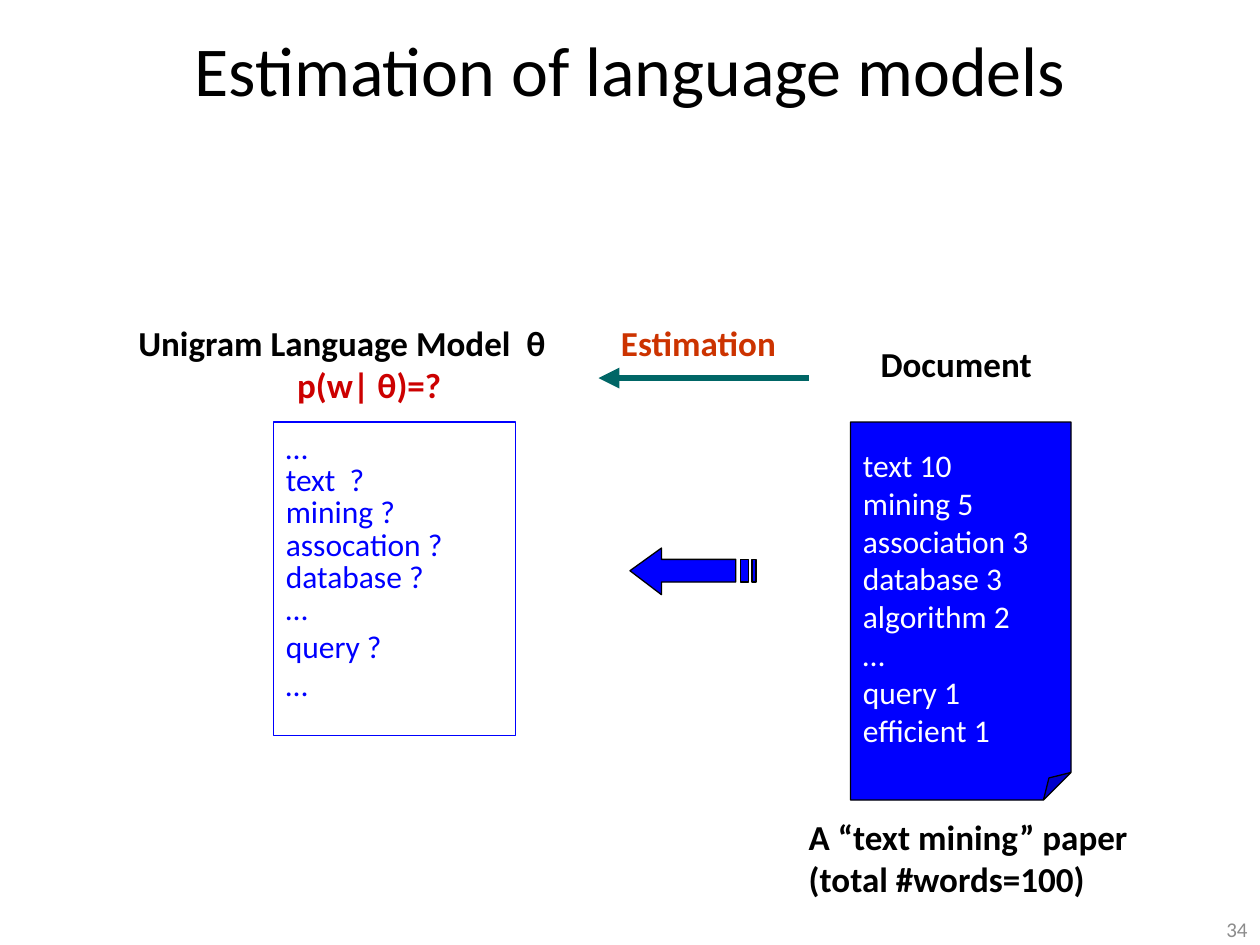
import pptx
import pptx.dml.color
import pptx.enum.shapes
import pptx.enum.text
import pptx.oxml.ns
import pptx.util
from dataclasses import dataclass
from lxml import etree
from pptx.util import Inches


@dataclass(frozen=True)
class Theme:
    font: str = "Calibri"
    black: str = "000000"
    white: str = "FFFFFF"
    gray: str = "8C8C8C"
    blue: str = "0000FF"
    red: str = "CC0000"
    orange: str = "CC3300"
    teal: str = "006666"
    title_size: int = 40
    label_size: int = 20
    word_size: int = 18
    number_size: int = 12
    outline: float = 0.75
    arrow: float = 4


theme = Theme()
rgb = pptx.dml.color.RGBColor.from_string
qn = pptx.oxml.ns.qn
align = pptx.enum.text.PP_ALIGN
anchor = pptx.enum.text.MSO_ANCHOR
shapes = pptx.enum.shapes.MSO_SHAPE


def write(frame, lines, size, color, bold=False, alignment=align.LEFT, anchoring=anchor.TOP):
    frame.text = "\n".join(lines)
    frame.word_wrap = True
    frame.vertical_anchor = anchoring
    for paragraph in frame.paragraphs:
        paragraph.alignment = alignment
        for run in paragraph.runs:
            run.font.name = theme.font
            run.font.size = pptx.util.Pt(size)
            run.font.bold = bold
            run.font.color.rgb = rgb(color)


def paint(shape, fill, line):
    shape.shadow.inherit = False
    if fill:
        shape.fill.solid()
        shape.fill.fore_color.rgb = rgb(fill)
    else:
        shape.fill.background()
    shape.line.color.rgb = rgb(line)
    shape.line.width = pptx.util.Pt(theme.outline)


deck = pptx.Presentation()
deck.slide_width, deck.slide_height = Inches(10), Inches(7.5)
slide = deck.slides.add_slide(deck.slide_layouts[5])

title = slide.shapes.title
title.left, title.top, title.width, title.height = Inches(0), Inches(0), Inches(10), Inches(1.08)
write(title.text_frame, ["Estimation of language models"], theme.title_size, theme.black,
      alignment=align.CENTER, anchoring=anchor.MIDDLE)

page_number = slide.shapes.add_textbox(Inches(7.67), Inches(7.25), Inches(2.33), Inches(0.25))
write(page_number.text_frame, ["34"], theme.number_size, theme.gray,
      alignment=align.RIGHT, anchoring=anchor.MIDDLE)

labels = [
    (6.89, 2.67, 1.49, 0.43, ["Document"], theme.black),
    (1, 2.5, 3.54, 0.77, ["Unigram Language Model  θ", "p(w| θ)=?"], theme.black),
    (4.83, 2.5, 1.49, 0.43, ["Estimation"], theme.orange),
    (6.32, 6.42, 2.85, 0.77, ["A “text mining” paper", "(total #words=100)"], theme.black),
]
for left, top, width, height, lines, color in labels:
    label = slide.shapes.add_textbox(Inches(left), Inches(top), Inches(width), Inches(height))
    write(label.text_frame, lines, theme.label_size, color, bold=True)
    if lines[-1].startswith("p(w"):
        probability = label.text_frame.paragraphs[-1]
        probability.runs[0].font.color.rgb = rgb(theme.red)
        properties = probability._p.get_or_add_pPr()
        properties.set("marL", str(Inches(1.26)))
        properties.set("indent", "0")

document = slide.shapes.add_shape(
    shapes.FOLDED_CORNER, Inches(6.75), Inches(3.35), Inches(1.75), Inches(3))
fold = document._element.spPr.find(qn("a:prstGeom")).find(qn("a:avLst"))
etree.SubElement(fold, qn("a:gd"), name="adj", fmla="val 12500")
paint(document, theme.blue, theme.black)
write(document.text_frame,
      ["text 10", "mining 5", "association 3", "database 3", "algorithm 2", "…", "query 1", "efficient 1"],
      theme.word_size, theme.white, anchoring=anchor.MIDDLE)

model = slide.shapes.add_shape(
    shapes.RECTANGLE, Inches(2.17), Inches(3.35), Inches(1.92), Inches(2.49))
paint(model, None, theme.blue)
write(model.text_frame,
      ["…", "text  ?", "mining ?", "assocation ?", "database ?", "…", "query ?", "…"],
      theme.word_size, theme.blue)
for paragraph in model.text_frame.paragraphs[1:6]:
    paragraph.line_spacing = 0.85

arrow_head = [(5.25, 4.35), (5.25, 4.44), (5.84, 4.44), (5.84, 4.62), (5.25, 4.62), (5.25, 4.72), (5, 4.53)]
stripes = [[(right, 4.44), (right, 4.62), (left, 4.62), (left, 4.44)]
           for left, right in [(5.88, 5.94), (5.97, 6)]]
outline = slide.shapes.build_freeform(Inches(5.25), Inches(4.35))
for contour in [arrow_head, *stripes]:
    points = [(Inches(x), Inches(y)) for x, y in contour]
    if contour is not arrow_head:
        outline.move_to(*points[0])
    outline.add_line_segments(points[1:], close=True)
striped_arrow = outline.convert_to_shape()
paint(striped_arrow, theme.blue, theme.black)

estimation = slide.shapes.add_connector(
    pptx.enum.shapes.MSO_CONNECTOR.STRAIGHT, Inches(6.42), Inches(3), Inches(4.75), Inches(3))
estimation.line.color.rgb = rgb(theme.teal)
estimation.line.width = pptx.util.Pt(theme.arrow)
etree.SubElement(estimation.line._get_or_add_ln(), qn("a:tailEnd"), type="triangle")
etree.SubElement(estimation._element.spPr, qn("a:effectLst"))

deck.save("out.pptx")
